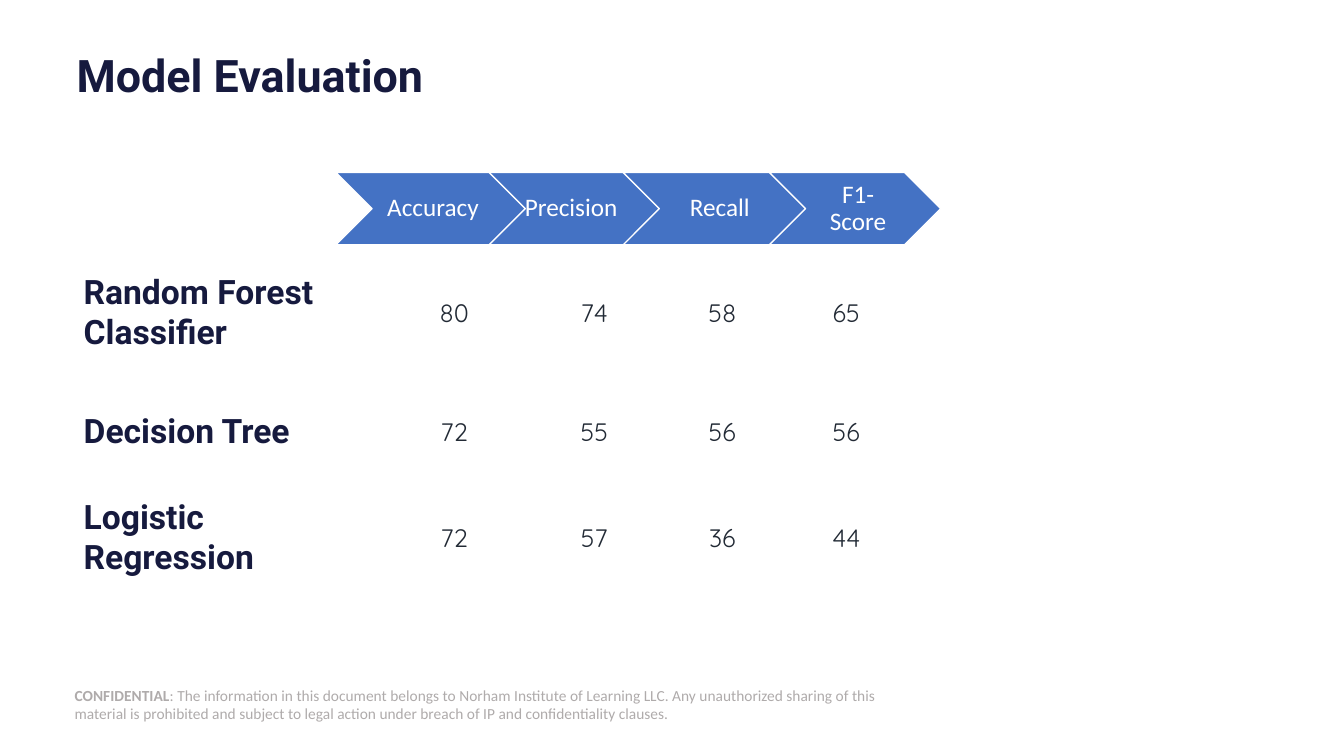
"""Build the model evaluation slide."""
from dataclasses import dataclass

from pptx import Presentation
from pptx.dml.color import RGBColor
from pptx.enum import shapes, text
from pptx.util import Inches, Pt

NAVY, SLATE, GREY, BLUE, WHITE = "161A3E", "222A35", "AFABAB", "4472C4", "FFFFFF"
ARROW_TOP, ARROW_HEIGHT = 1.71, 0.72
COLUMN_WIDTHS = (3.08, 1.39, 1.39, 1.15, 1.31)
ROW_HEIGHTS = (1.31, 1.05, 1.05)


@dataclass
class Metric:
    name: str
    left: float
    width: float
    text_left: float
    text_width: float
    kind: int = shapes.MSO_SHAPE.CHEVRON


@dataclass
class Model:
    name: str
    scores: tuple[int, ...]


METRICS = (
    Metric("Precision", 4.55, 2.24, 4.61, 2.06, shapes.MSO_SHAPE.PENTAGON),
    Metric("Accuracy", 3.33, 1.88, 3.69, 1.16),
    Metric("Recall", 6.18, 1.86, 6.54, 1.15),
    Metric("F1- Score", 7.63, 1.7, 7.99, 0.99),
)
MODELS = (
    Model("Random Forest Classifier", (80, 74, 58, 65)),
    Model("Decision Tree", (72, 55, 56, 56)),
    Model("Logistic Regression", (72, 57, 36, 44)),
)


def rgb(value: str) -> RGBColor:
    """Turn a hex string into a colour."""
    return RGBColor.from_string(value)


def add_run(p, words: str, font: str, size: int, color: str, bold: bool = False) -> None:
    """Append one formatted run to a paragraph."""
    r = p.add_run()
    r.text = words
    r.font.name, r.font.size, r.font.bold = font, Pt(size), bold
    r.font.color.rgb = rgb(color)


def set_frame(tf, insets: tuple[float, ...] = (0, 0, 0, 0)):
    """Prepare a wrapped, middle-anchored frame and return its first paragraph."""
    tf.word_wrap = True
    tf.vertical_anchor = text.MSO_ANCHOR.MIDDLE
    tf.margin_left, tf.margin_top, tf.margin_right, tf.margin_bottom = map(Inches, insets)
    return tf.paragraphs[0]


def add_box(s, left: float, top: float, width: float, height: float):
    """Add a text box placed in inches."""
    return s.shapes.add_textbox(*map(Inches, (left, top, width, height)))


def add_shape(s, kind: int, box: tuple[float, ...], fill: str):
    """Add a filled shape without shadow or outline."""
    sp = s.shapes.add_shape(kind, *map(Inches, box))
    sp.shadow.inherit = False
    sp.fill.solid()
    sp.fill.fore_color.rgb = rgb(fill)
    sp.line.fill.background()
    return sp


def add_footer(s) -> None:
    """Add the confidentiality notice."""
    sp = add_shape(s, shapes.MSO_SHAPE.RECTANGLE, (0.74, 6.79, 8.17, 0.4), WHITE)
    p = set_frame(sp.text_frame)
    p.alignment = text.PP_ALIGN.LEFT
    add_run(p, "CONFIDENTIAL", "Calibri", 11, GREY, True)
    add_run(p, ": The information in this document belongs to Norham Institute of Learning LLC. "
            "Any unauthorized sharing of this material is prohibited and subject to legal action "
            "under breach of IP and confidentiality clauses.", "Calibri", 11, GREY)


def add_title(s) -> None:
    """Add the slide title."""
    p = set_frame(add_box(s, 0.76, 0.29, 11.73, 0.97).text_frame)
    p.line_spacing = 0.9
    add_run(p, "Model Evaluation", "Roboto", 32, NAVY, True)


def add_scores(s) -> None:
    """Add the table of scores per model."""
    box = (0.73, 2.45, sum(COLUMN_WIDTHS), sum(ROW_HEIGHTS))
    table = s.shapes.add_table(len(MODELS), len(COLUMN_WIDTHS), *map(Inches, box)).table
    table.first_row = table.horz_banding = False
    for column, width in zip(table.columns, COLUMN_WIDTHS):
        column.width = Inches(width)
    for row, height, model in zip(table.rows, ROW_HEIGHTS, MODELS):
        row.height = Inches(height)
        for i, (cell, value) in enumerate(zip(row.cells, (model.name, *model.scores))):
            cell.fill.background()
            cell.vertical_anchor = text.MSO_ANCHOR.MIDDLE
            p = cell.text_frame.paragraphs[0]
            if i == 0:
                add_run(p, value, "Roboto", 24, NAVY, True)
            else:
                p.alignment = text.PP_ALIGN.CENTER
                add_run(p, str(value), "Quicksand", 18, SLATE)


def add_metric(s, metric: Metric) -> None:
    """Add one heading arrow with its label."""
    sp = add_shape(s, metric.kind, (metric.left, ARROW_TOP, metric.width, ARROW_HEIGHT), BLUE)
    sp.line.color.rgb = rgb(WHITE)
    sp.line.width = Pt(1)
    label = add_box(s, metric.text_left, ARROW_TOP, metric.text_width, ARROW_HEIGHT)
    p = set_frame(label.text_frame, (0.08, 0.05, 0.03, 0.05))
    p.alignment = text.PP_ALIGN.CENTER
    p.line_spacing = 0.9
    add_run(p, metric.name, "Calibri", 18, WHITE)


def main() -> None:
    """Build and save the slide."""
    prs = Presentation()
    prs.slide_width, prs.slide_height = Inches(13.33), Inches(7.5)
    s = prs.slides.add_slide(prs.slide_layouts[6])
    add_footer(s)
    add_title(s)
    add_scores(s)
    for metric in METRICS:
        add_metric(s, metric)
    prs.save("out.pptx")


if __name__ == "__main__":
    main()
